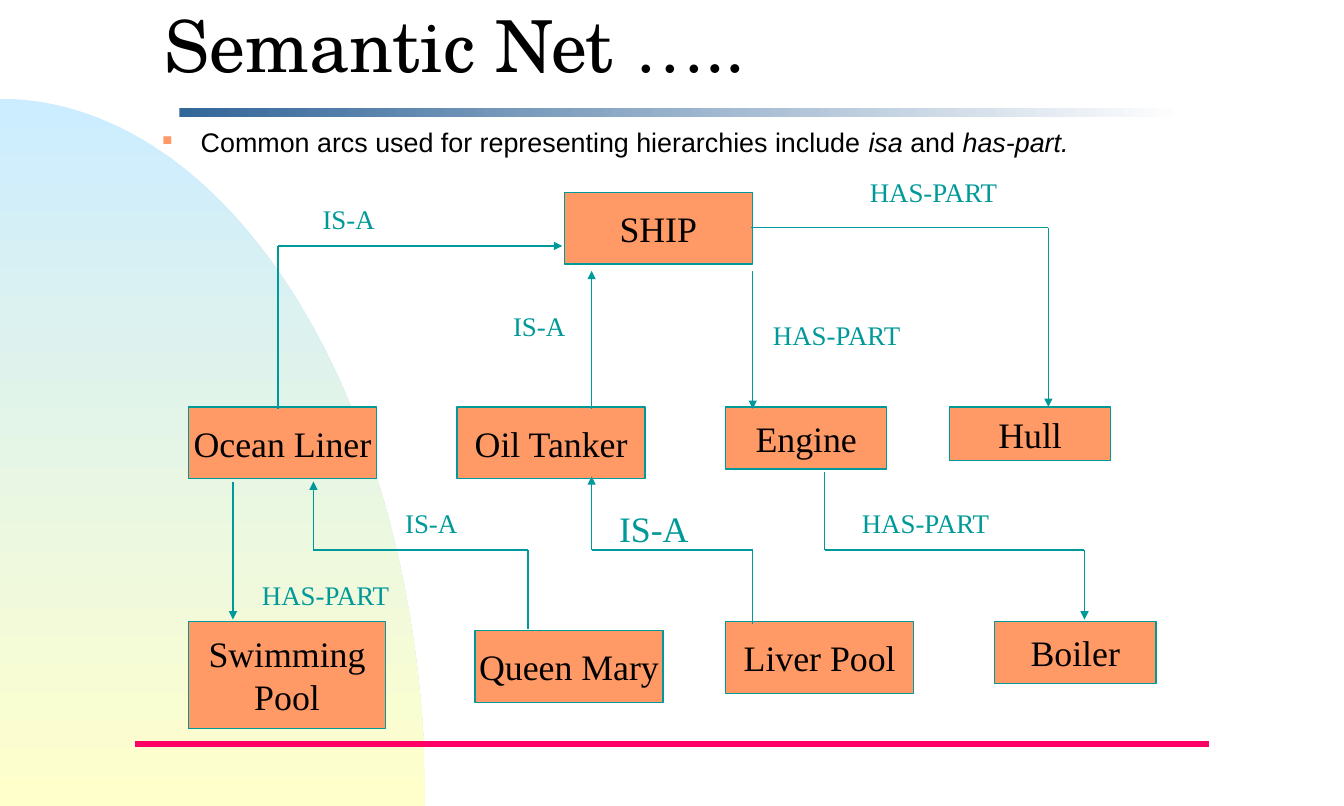
from dataclasses import dataclass
from itertools import pairwise
from math import cos, pi, sin

from lxml.etree import SubElement
from pptx import Presentation
from pptx.dml.color import RGBColor as RGB
from pptx.enum.shapes import MSO_CONNECTOR as CONN, MSO_SHAPE as SHAPE
from pptx.enum.text import MSO_ANCHOR as ANCHOR, MSO_AUTO_SIZE as AUTO, PP_ALIGN as ALIGN
from pptx.oxml.ns import qn
from pptx.util import Cm, Pt


@dataclass(frozen=True)
class Theme:
    ink: str = "010000"
    teal: str = "009999"
    orange: str = "FF9966"
    pink: str = "FF0066"
    sky: tuple = ("CCECFF", "FFFFCC")
    bar: tuple = ("336699", "FFFFFF")
    title_pt: float = 51.2
    node_pt: float = 25.6
    body_pt: float = 19.2
    title_font: str = "TeX Gyre Schola"
    body_font: str = "Arial"
    node_font: str = "Times New Roman"


def add_text(p, text, *, font, size, color, italic=False):
    r = p.add_run()
    r.text = text
    r.font.name = font
    r.font.size = Pt(size)
    r.font.italic = italic
    r.font.color.rgb = RGB.from_string(color)


def set_gradient(sp, colors, angle):
    sp.fill.gradient()
    sp.fill.gradient_angle = angle
    for stop, color in zip(sp.fill.gradient_stops, colors):
        stop.color.rgb = RGB.from_string(color)
    sp.line.fill.background()
    sp.shadow.inherit = False


def set_margins(tf, x=0.28, y=0.13):
    tf.margin_left = tf.margin_right = Cm(x)
    tf.margin_top = tf.margin_bottom = Cm(y)


class Deck:
    def __init__(self, s, theme):
        self.s = s
        self.t = theme

    def quarter_ellipse(self, rx, ry, bottom, steps=60):
        angles = [pi / 2 * i / steps for i in range(steps + 1)]
        points = [(Cm(rx * sin(a)), Cm(bottom - ry * cos(a))) for a in angles]
        builder = self.s.shapes.build_freeform(*points[0])
        builder.add_line_segments(points[1:] + [(0, Cm(bottom))], close=True)
        set_gradient(builder.convert_to_shape(), self.t.sky, 270)

    def bar(self, *box):
        sp = self.s.shapes.add_shape(SHAPE.RECTANGLE, *map(Cm, box))
        set_gradient(sp, self.t.bar, 0)

    def text_box(self, *box):
        tf = self.s.shapes.add_textbox(*map(Cm, box)).text_frame
        tf.word_wrap = True
        return tf

    def title(self, parts, *box):
        tf = self.text_box(*box)
        tf.vertical_anchor = ANCHOR.BOTTOM
        tf.margin_left = Cm(0.76)
        p = tf.paragraphs[0]
        p.line_spacing = 0.7
        for text, font in parts:
            add_text(p, text, font=font, size=self.t.title_pt, color=self.t.ink)

    def bullet(self, parts, *box):
        p = self.text_box(*box).paragraphs[0]
        pPr = p._p.get_or_add_pPr()
        pPr.set("marL", str(Cm(0.97)))
        pPr.set("indent", str(-Cm(0.97)))
        SubElement(SubElement(pPr, qn("a:buClr")), qn("a:srgbClr"), val=self.t.orange)
        SubElement(pPr, qn("a:buSzPct"), val="50000")
        SubElement(pPr, qn("a:buChar"), char="■")
        for text, italic in parts:
            add_text(p, text, font=self.t.body_font, size=self.t.body_pt,
                     color=self.t.ink, italic=italic)

    def node(self, lines, *box):
        sp = self.s.shapes.add_shape(SHAPE.RECTANGLE, *map(Cm, box))
        sp.shadow.inherit = False
        sp.fill.solid()
        sp.fill.fore_color.rgb = RGB.from_string(self.t.orange)
        sp.line.color.rgb = RGB.from_string(self.t.teal)
        sp.line.width = Pt(1)
        tf = sp.text_frame
        tf.word_wrap = False
        tf.vertical_anchor = ANCHOR.MIDDLE
        set_margins(tf)
        for i, text in enumerate(lines.split("\n")):
            p = tf.add_paragraph() if i else tf.paragraphs[0]
            p.alignment = ALIGN.CENTER
            add_text(p, text, font=self.t.node_font, size=self.t.node_pt, color=self.t.ink)

    def line(self, start, end, color, width=1, arrow=False):
        c = self.s.shapes.add_connector(CONN.STRAIGHT, *map(Cm, start + end))
        c.line.color.rgb = RGB.from_string(color)
        c.line.width = Pt(width)
        if arrow:
            SubElement(c.line._get_or_add_ln(), qn("a:tailEnd"), type="triangle")
        SubElement(c._element.spPr, qn("a:effectLst"))

    def arc(self, *points):
        for start, end in pairwise(points):
            self.line(start, end, self.t.teal, arrow=end == points[-1])

    def label(self, text, x, y, size):
        scale = size / self.t.body_pt
        width = 1.88 if text == "IS-A" else 3.78
        tf = self.text_box(x, y, width * scale, 1.09 * scale)
        tf.word_wrap = False
        tf.auto_size = AUTO.SHAPE_TO_FIT_TEXT
        set_margins(tf)
        add_text(tf.paragraphs[0], text, font=self.t.node_font, size=size, color=self.t.teal)


def main():
    prs = Presentation()
    prs.slide_width, prs.slide_height = Cm(33.87), Cm(20.32)
    t = Theme()
    d = Deck(prs.slides.add_slide(prs.slide_layouts[6]), t)

    d.quarter_ellipse(10.72, 17.83, 20.32)
    d.line((3.39, 18.75), (30.48, 18.75), t.pink, 4.5)
    d.title([("Semantic Net ", t.title_font), ("…", t.node_font), ("..", t.title_font)],
            3.39, 0.46, 27.33, 1.8)
    d.bar(4.52, 2.72, 25.3, 0.23)
    d.bullet([("Common arcs used for representing hierarchies include ", False),
              ("isa", True), (" and ", False), ("has-part.", True)],
             3.84, 3.05, 25.73, 2.36)

    wide, narrow, tall, short = 4.74, 4.06, 1.81, 1.57
    middle, bottom, bend = 10.26, 15.67, 13.87
    for name, *box in (
        ("SHIP", 14.22, 4.85, wide, tall),
        ("Hull", 23.93, middle, narrow, 1.35),
        ("Engine", 18.29, middle, narrow, short),
        ("Oil Tanker", 11.52, middle, wide, tall),
        ("Ocean Liner", 4.75, middle, wide, tall),
        ("Boiler", 25.07, bottom, narrow, short),
        ("Liver Pool", 18.29, bottom, wide, tall),
        ("Queen Mary", 11.97, 15.9, wide, tall),
        ("Swimming\nPool", 4.75, bottom, 4.97, 2.7),
    ):
        d.node(name, *box)

    for points in (
        [(14.91, 10.31), (14.91, 6.83)],
        [(7.01, 10.31), (7.01, 6.2), (14.17, 6.2)],
        [(18.97, 6.83), (18.97, 10.31)],
        [(18.92, 5.74), (26.42, 5.74), (26.42, 10.26)],
        [(18.97, 15.72), (18.97, bend), (14.91, bend), (14.91, 12.01)],
        [(20.78, 11.91), (20.78, bend), (27.33, bend), (27.33, 15.62)],
        [(5.87, 12.14), (5.87, 15.62)],
        [(13.31, 15.85), (13.31, bend), (7.9, bend), (7.9, 12.14)],
    ):
        d.arc(*points)

    for text, x, y, size in (
        ("IS-A", 7.85, 4.98, t.body_pt),
        ("HAS-PART", 21.64, 4.29, t.body_pt),
        ("IS-A", 15.32, 12.65, t.node_pt),
        ("HAS-PART", 19.2, 7.9, t.body_pt),
        ("HAS-PART", 21.44, 12.65, t.body_pt),
        ("IS-A", 12.65, 7.67, t.body_pt),
        ("IS-A", 9.93, 12.65, t.body_pt),
        ("HAS-PART", 6.32, 14.45, t.body_pt),
    ):
        d.label(text, x, y, size)

    prs.save("out.pptx")


if __name__ == "__main__":
    main()
